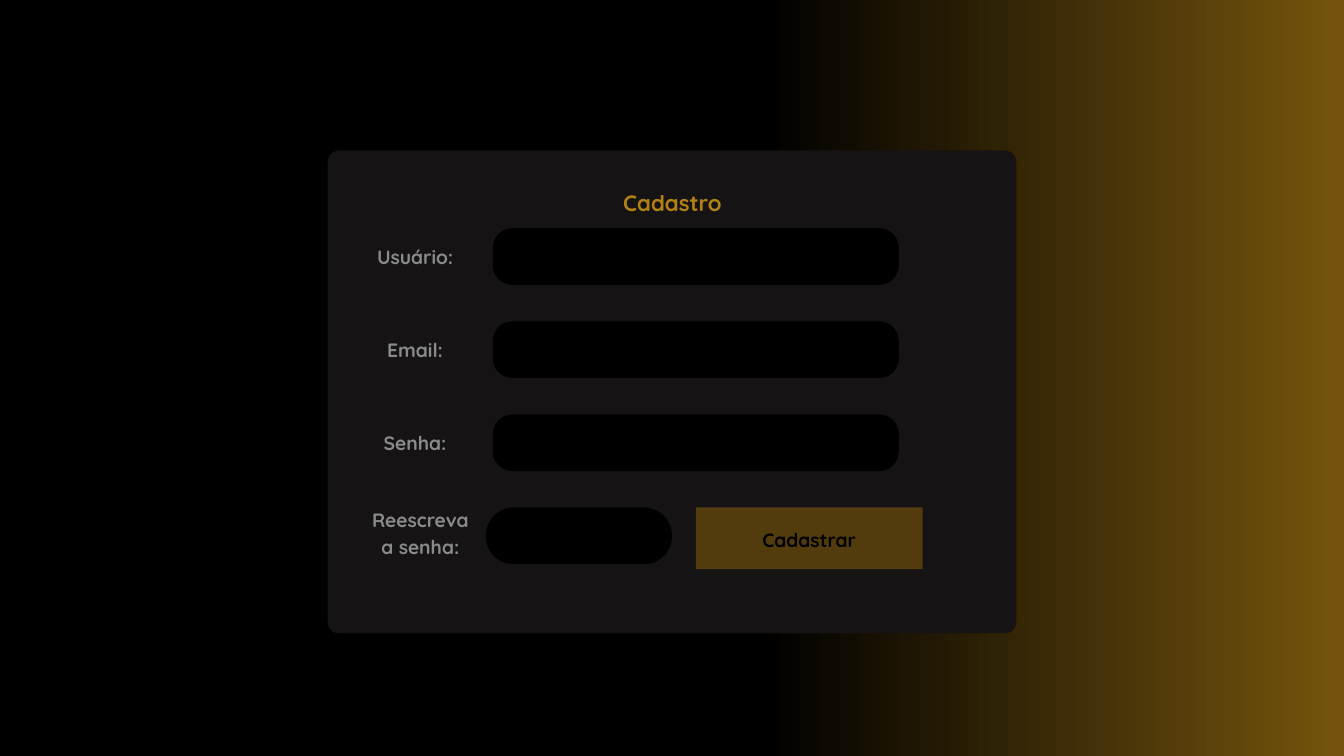
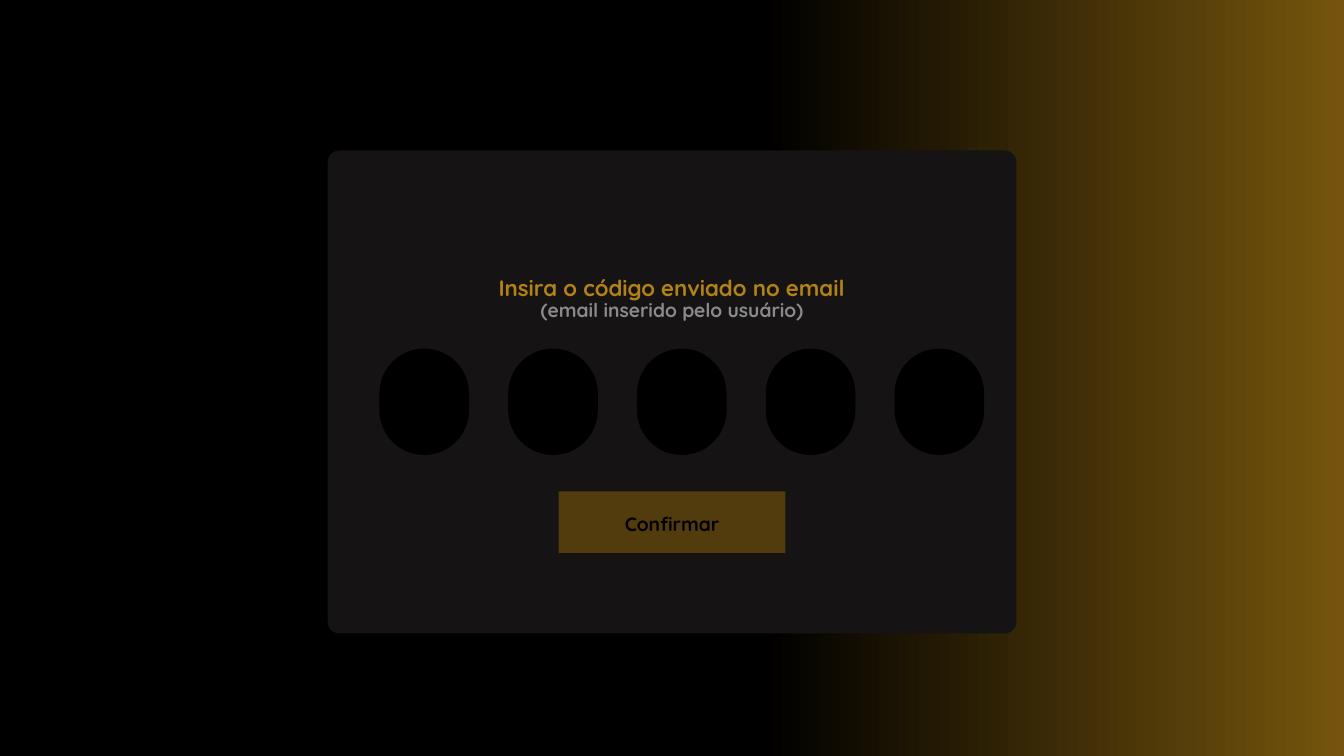
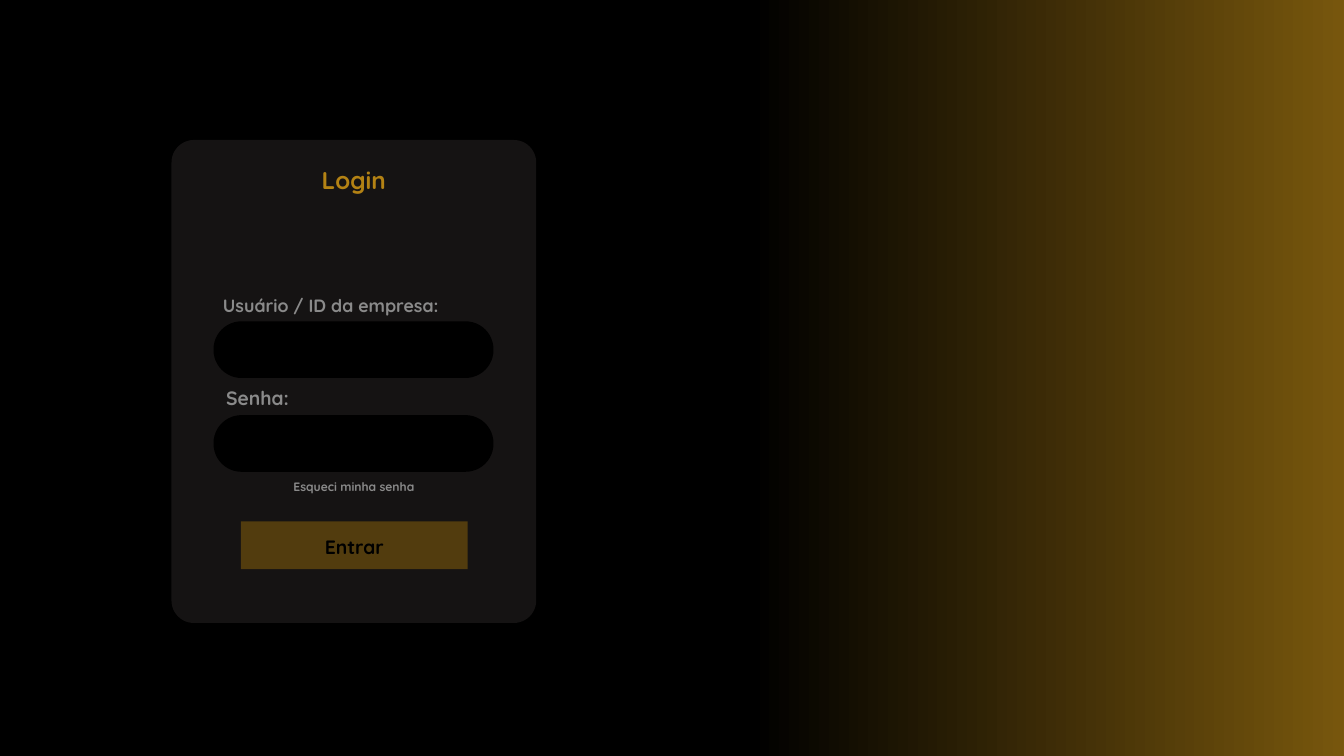
from lxml import etree
from pptx import Presentation
from pptx.dml.color import RGBColor
from pptx.enum.shapes import MSO_SHAPE
from pptx.enum.text import MSO_ANCHOR, MSO_AUTO_SIZE, PP_ALIGN
from pptx.oxml.ns import qn
from pptx.util import Pt

RECT, ROUNDED = MSO_SHAPE.RECTANGLE, MSO_SHAPE.ROUNDED_RECTANGLE
TOP, MIDDLE = MSO_ANCHOR.TOP, MSO_ANCHOR.MIDDLE

PX = 9525  # EMU
WIDTH, HEIGHT = 1920, 1080
FONT = "Quicksand"
LABEL_SIZE = 20.7
LEADING = 1.4
COLORS = {
    "black": "000000",
    "glow": "C89116",
    "panel": "151313",
    "title": "DEA015",
    "label": "8A8A8A",
    "button": "70510C",
}
TITLE_ALPHA, BUTTON_ALPHA = 79, 67

# Boxes are (left, top, width, height) in px.
WIDE_PANEL = ((468, 215, 984, 690), 17)
WIDE_GLOW = (1087, -35)
GLOW_SIZE = (1412, 1189)

FIELD_TOP, FIELD_PITCH, FIELD_HEIGHT = 326, 133, 81
SIGNUP_LABELS = ["Usuário:", "Email:", "Senha:"]
CODE_DIGITS, CODE_PITCH = 5, 184

SCREENS = [
    {
        "glow": WIDE_GLOW,
        "panel": WIDE_PANEL,
        "title": ("Cadastro", (861, 264, 199, 85), 23.9),
        "fields": [((704, FIELD_TOP + i * FIELD_PITCH, 580, FIELD_HEIGHT), 28)
                   for i in range(len(SIGNUP_LABELS))]
        + [((694, 725, 266, FIELD_HEIGHT), 40)],
        "labels": [(text, (530, FIELD_TOP + 19 + i * FIELD_PITCH, 126, 37), LABEL_SIZE)
                   for i, text in enumerate(SIGNUP_LABELS)]
        + [("Reescreva a senha:", (530, 720, 141, 76), LABEL_SIZE)],
        "button": ("Cadastrar", (994, 725, 324, 88)),
    },
    {
        "glow": WIDE_GLOW,
        "panel": WIDE_PANEL,
        "title": ("Insira o código enviado no email", (710, 385, 499, 41), 23.9),
        "fields": [((542 + i * CODE_PITCH, 498, 128, 152), 64) for i in range(CODE_DIGITS)],
        "labels": [("(email inserido pelo usuário)", (530, 421, 860, 37), LABEL_SIZE)],
        "button": ("Confirmar", (798, 702, 324, 88)),
    },
    {
        "glow": (1071, -50),
        "panel": ((245, 200, 521, 690), 32),
        "title": ("Login", (397, 229, 217, 46), 26),
        "fields": [((305, top, 400, FIELD_HEIGHT), 40) for top in (459, 593)],
        "labels": [
            ("Usuário / ID da empresa:", (305, 416, 335, 35), 19.1),
            ("Senha:", (305, 546, 126, 37), LABEL_SIZE),
            ("Esqueci minha senha", (352, 682, 307, 24), 13),
        ],
        "button": ("Entrar", (344, 745, 324, 68)),
    },
]


def emu(box):
    return [v * PX for v in box]


def rgb(name):
    return RGBColor.from_string(COLORS[name])


def set_alpha(fill_parent, percent):
    """Make the solid fill held directly by the element translucent."""
    color = fill_parent.find(qn("a:solidFill"))[0]
    etree.SubElement(color, qn("a:alpha"), val=str(percent * 1000))


def add_block(s, box, color, radius=0):
    sp = s.shapes.add_shape(ROUNDED if radius else RECT, *emu(box))
    sp.shadow.inherit = False
    sp.line.fill.background()
    sp.fill.solid()
    sp.fill.fore_color.rgb = rgb(color)
    if radius:
        sp.adjustments[0] = radius / min(box[2:])
    return sp


def add_glow(s, corner):
    sp = add_block(s, corner + GLOW_SIZE, "black")
    sp.fill.gradient()
    sp.fill.gradient_angle = 0
    for stop, position, color in zip(sp.fill.gradient_stops, (0, 1), ("black", "glow")):
        stop.position = position
        stop.color.rgb = rgb(color)
    sp.line.color.rgb = rgb("black")
    sp.line.width = Pt(1)


def write(sp, text, size, color, anchor=TOP):
    """Set centred bold text without insets and return its run."""
    tf = sp.text_frame
    tf.text = text
    tf.word_wrap = True
    tf.auto_size = MSO_AUTO_SIZE.NONE
    tf.vertical_anchor = anchor
    tf.margin_left = tf.margin_top = tf.margin_right = tf.margin_bottom = 0
    p = tf.paragraphs[0]
    p.alignment = PP_ALIGN.CENTER
    p.line_spacing = Pt(round(size * LEADING, 1))
    r = p.runs[0]
    r.font.name = FONT
    r.font.size = Pt(size)
    r.font.bold = True
    r.font.color.rgb = rgb(color)
    return r


def place_title(s, text, box, size):
    sp = s.shapes.title
    sp.left, sp.top, sp.width, sp.height = emu(box)
    r = write(sp, text, size, "title")
    set_alpha(r.font._element if hasattr(r.font, "_element") else r._r.rPr, TITLE_ALPHA)
    sp.element.getparent().append(sp.element)  # bring in front of the panel


def add_button(s, text, box):
    sp = add_block(s, box, "button")
    set_alpha(sp.element.spPr, BUTTON_ALPHA)
    write(sp, text, LABEL_SIZE, "black", MIDDLE)


def add_screen(prs, screen):
    s = prs.slides.add_slide(prs.slide_layouts.get_by_name("Title Only"))
    add_glow(s, screen["glow"])
    box, radius = screen["panel"]
    add_block(s, box, "panel", radius)
    place_title(s, *screen["title"])
    for box, radius in screen["fields"]:
        add_block(s, box, "black", radius)
    for text, box, size in screen["labels"]:
        write(s.shapes.add_textbox(*emu(box)), text, size, "label")
    add_button(s, *screen["button"])


def main():
    prs = Presentation()
    prs.slide_width, prs.slide_height = emu((WIDTH, HEIGHT))
    background = prs.slide_master.background.fill
    background.solid()
    background.fore_color.rgb = rgb("black")
    for screen in SCREENS:
        add_screen(prs, screen)
    prs.save("out.pptx")


if __name__ == "__main__":
    main()
